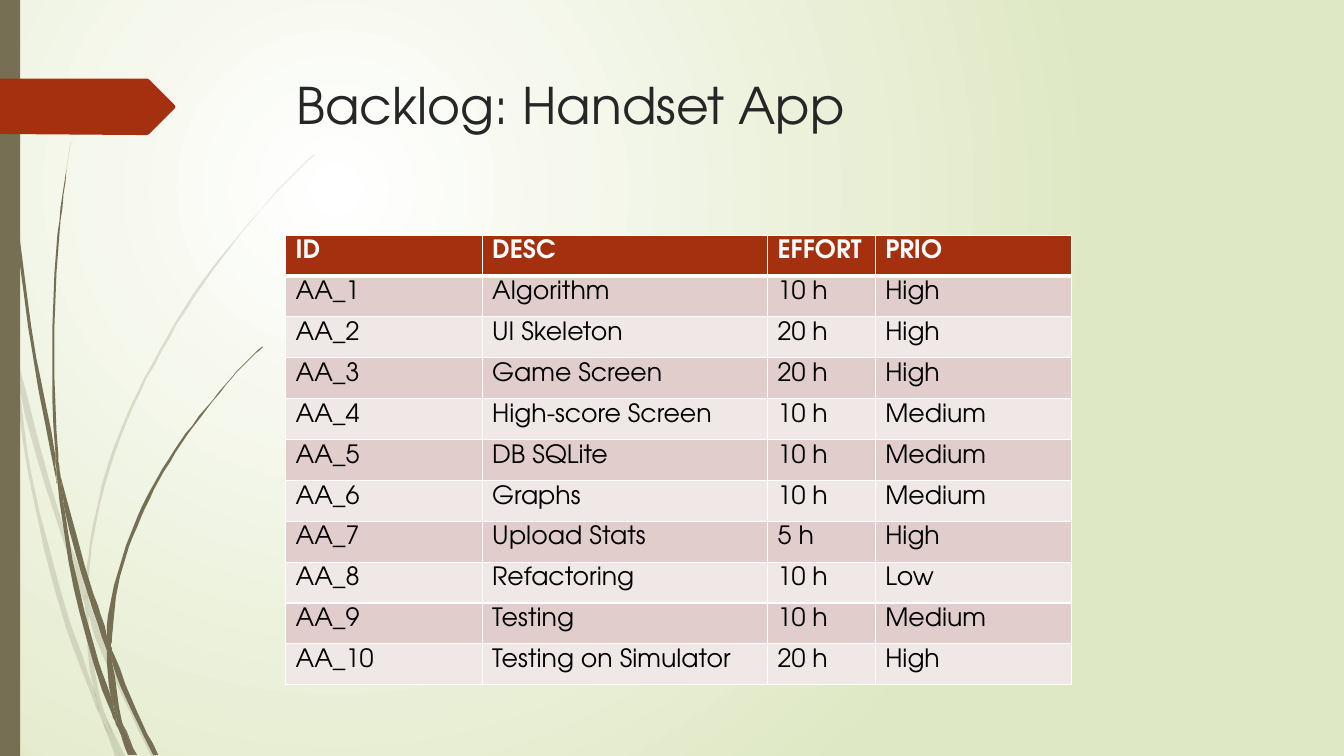
import pptx
import pptx.util
import pptx.dml.color
import pptx.enum.text
import pptx.enum.shapes
import pptx.oxml
import pptx.oxml.ns
import lxml.etree

RGB = pptx.dml.color.RGBColor
WHITE = RGB(0xFF, 0xFF, 0xFF)
BLACK = RGB(0, 0, 0)
INK = RGB(0x26, 0x26, 0x26)
LIME = RGB(0xDF, 0xE8, 0xC4)
OLIVE = RGB(0x76, 0x6F, 0x54)
RUST = RGB(0xA5, 0x30, 0x10)
PINK = RGB(0xE1, 0xCD, 0xCC)
PALE = RGB(0xF0, 0xE8, 0xE7)
FONT = "TeX Gyre Adventor"
WIDE = pptx.util.Inches(13.33)
HIGH = pptx.util.Inches(7.5)
CELL = pptx.util.Inches(0.01)
qn = pptx.oxml.ns.qn

FAINT = [
    [(11, 350), (9, 322), (0, 282), (0, 299), (10, 344)],
    [(58, 522), (84, 599), (85, 586), (62, 520), (14, 345), (17, 376)],
    [(92, 607), (88, 596), (88, 610), (123, 694), (150, 750), (155, 750),
     (127, 692)],
    [(119, 750), (124, 750), (105, 711)],
    [(93, 683), (70, 619), (31, 469), (17, 376), (11, 350), (28, 470),
     (65, 621), (92, 693), (101, 714), (99, 707)],
    [(84, 599), (87, 646), (93, 683), (96, 692), (105, 711), (103, 706),
     (91, 646), (88, 610), (88, 608)],
    [(88, 584), (91, 541), (110, 462), (132, 404), (160, 349), (192, 296),
     (229, 245), (268, 198), (290, 175), (312, 154), (312, 153), (289, 175),
     (268, 197), (228, 244), (190, 294), (158, 348), (130, 402), (107, 461),
     (89, 541), (85, 584), (85, 586), (88, 596)],
    [(101, 714), (114, 750), (119, 750)],
    [(88, 608), (88, 610), (88, 596), (85, 586), (84, 599)],
    [(96, 692), (93, 683), (99, 707), (101, 714), (119, 750), (105, 711)],
]
BOLD = [
    [(7, 110), (17, 233), (33, 355), (56, 477), (57, 481), (55, 457),
     (55, 453), (36, 355), (19, 232), (8, 109), (5, 48), (4, 0), (3, 0),
     (4, 48)],
    [(88, 592), (106, 645), (106, 631), (93, 590), (60, 472), (64, 505)],
    [(113, 649), (110, 641), (111, 656), (132, 708), (152, 749), (157, 749),
     (136, 706)],
    [(110, 691), (98, 657), (72, 556), (64, 505), (57, 477), (68, 557),
     (93, 659), (111, 708), (117, 722), (116, 717)],
    [(60, 472), (58, 453), (54, 349), (58, 245), (63, 193), (70, 141),
     (62, 193), (56, 245), (52, 349), (55, 449)],
    [(133, 749), (136, 749), (122, 719)],
    [(57, 477), (64, 505), (60, 472), (55, 449), (55, 453)],
    [(111, 633), (115, 592), (125, 552), (140, 513), (158, 476), (180, 440),
     (205, 406), (231, 374), (245, 359), (261, 344), (260, 344), (245, 358),
     (231, 373), (204, 405), (178, 439), (156, 474), (137, 511), (122, 551),
     (111, 591), (106, 631), (110, 641)],
    [(117, 722), (127, 749), (131, 749)],
    [(106, 645), (110, 691), (116, 706), (122, 719), (121, 716), (111, 656),
     (109, 651)],
    [(106, 645), (109, 651), (111, 656), (110, 641), (106, 631)],
    [(116, 706), (110, 691), (116, 717), (117, 722), (130, 749), (133, 749),
     (122, 719)],
]
ARROW = [(173, 108), (148, 133), (146, 134), (136, 134), (0, 133), (0, 78),
         (146, 78), (148, 79), (173, 104), (174, 106)]

HEAD = ["ID", "DESC", "EFFORT", "PRIO"]
TASKS = [
    ("Algorithm", 10, "High"),
    ("UI Skeleton", 20, "High"),
    ("Game Screen", 20, "High"),
    ("High-score Screen", 10, "Medium"),
    ("DB SQLite", 10, "Medium"),
    ("Graphs", 10, "Medium"),
    ("Upload Stats", 5, "High"),
    ("Refactoring", 10, "Low"),
    ("Testing", 10, "Medium"),
    ("Testing on Simulator", 20, "High"),
]
SHARES = [0.25, 0.363, 0.137, 0.25]


def area(left, top, width, height):
    return (int(WIDE * left), int(HIGH * top),
            int(WIDE * width), int(HIGH * height))


def paint(shape, color, alpha=None):
    shape.shadow.inherit = False
    shape.fill.solid()
    shape.fill.fore_color.rgb = color
    shape.line.fill.background()
    if alpha:
        tone = shape.element.spPr.find(qn("a:solidFill"))[0]
        lxml.etree.SubElement(tone, qn("a:alpha"), val=str(alpha * 1000))


def bend(points):
    dots = [complex(*point) for point in points]
    steps = [dots[(n + 1) % len(dots)] - dot for n, dot in enumerate(dots)]
    ways = [step / abs(step) for step in steps]
    curve = []
    for n, dot in enumerate(dots):
        near = [way if (way * ways[n].conjugate()).real > 0.8 else ways[n]
                for way in (ways[n - 1], ways[(n + 1) % len(dots)])]
        mid = dot + steps[n] / 2 + abs(steps[n]) * (near[0] - near[1]) / 16
        curve += [(dot.real, dot.imag), (mid.real, mid.imag)]
    return curve


def trace(slide, box, points, color, alpha=None):
    pen = slide.shapes.build_freeform(*points[0], scale=CELL)
    pen.add_line_segments(points[1:], close=True)
    paint(pen.convert_to_shape(box[0], box[1]), color, alpha)


def backdrop(slide):
    fill = slide.background.fill
    fill.gradient()
    for stop, color in zip(fill.gradient_stops, (WHITE, LIME)):
        stop.color.rgb = color
    grad = slide.element.find(".//" + qn("a:gradFill"))
    grad.remove(grad.find(qn("a:lin")))
    ring = lxml.etree.Element(qn("a:path"), path="circle")
    lxml.etree.SubElement(ring, qn("a:fillToRect"), l="50000", t="50000",
                          r="100000", b="100000")
    grad.insert(1, ring)


def grass(slide, box):
    for blades, alpha in ((FAINT, 20), (BOLD, None)):
        for points in blades:
            trace(slide, box, bend(bend(points)), OLIVE, alpha)
    left, top, width, height = box
    kind = pptx.enum.shapes.MSO_SHAPE.RECTANGLE
    paint(slide.shapes.add_shape(kind, left, top, int(width * 0.065), height),
          OLIVE)
    trace(slide, box, ARROW, RUST)


def heading(slide, box, text):
    title = slide.shapes.title
    title.left, title.top, title.width, title.height = box
    frame = title.text_frame
    frame.text = text
    frame.vertical_anchor = pptx.enum.text.MSO_ANCHOR.TOP
    para = frame.paragraphs[0]
    para.alignment = pptx.enum.text.PP_ALIGN.LEFT
    para.font.name = FONT
    para.font.size = pptx.util.Pt(36)
    para.font.color.rgb = INK


def border(cell, side, points):
    props = cell._tc.get_or_add_tcPr()
    line = lxml.etree.SubElement(props, qn("a:ln" + side),
                                 w=str(pptx.util.Pt(points)))
    solid = lxml.etree.SubElement(line, qn("a:solidFill"))
    lxml.etree.SubElement(solid, qn("a:srgbClr"), val=str(WHITE))


def entry(cell, text, row):
    cell.text = text
    for side in "LRTB":
        thick = (row, side) in ((0, "B"), (1, "T"))
        border(cell, side, 3 if thick else 1)
    cell.fill.solid()
    cell.fill.fore_color.rgb = (PINK if row % 2 else PALE) if row else RUST
    font = cell.text_frame.paragraphs[0].font
    font.name = FONT
    font.size = pptx.util.Pt(18)
    font.bold = row == 0
    font.color.rgb = BLACK if row else WHITE


def backlog(slide, box):
    rows = [HEAD] + [(f"AA_{n}", task, f"{hours} h", rank)
                     for n, (task, hours, rank) in enumerate(TASKS, 1)]
    table = slide.shapes.add_table(len(rows), len(HEAD), *box).table
    for column, share in zip(table.columns, SHARES):
        column.width = int(box[2] * share)
    for r, texts in enumerate(rows):
        table.rows[r].height = box[3] // len(rows)
        for c, text in enumerate(texts):
            entry(table.cell(r, c), text, r)


def main():
    deck = pptx.Presentation()
    deck.slide_width, deck.slide_height = WIDE, HIGH
    slide = deck.slides.add_slide(deck.slide_layouts[5])
    backdrop(slide)
    grass(slide, area(0, 0, 0.23, 1))
    heading(slide, area(0.213, 0.091, 0.731, 0.187), "Backlog: Handset App")
    backlog(slide, area(0.2125, 0.311, 0.585, 0.595))
    deck.save("out.pptx")


if __name__ == "__main__":
    main()
